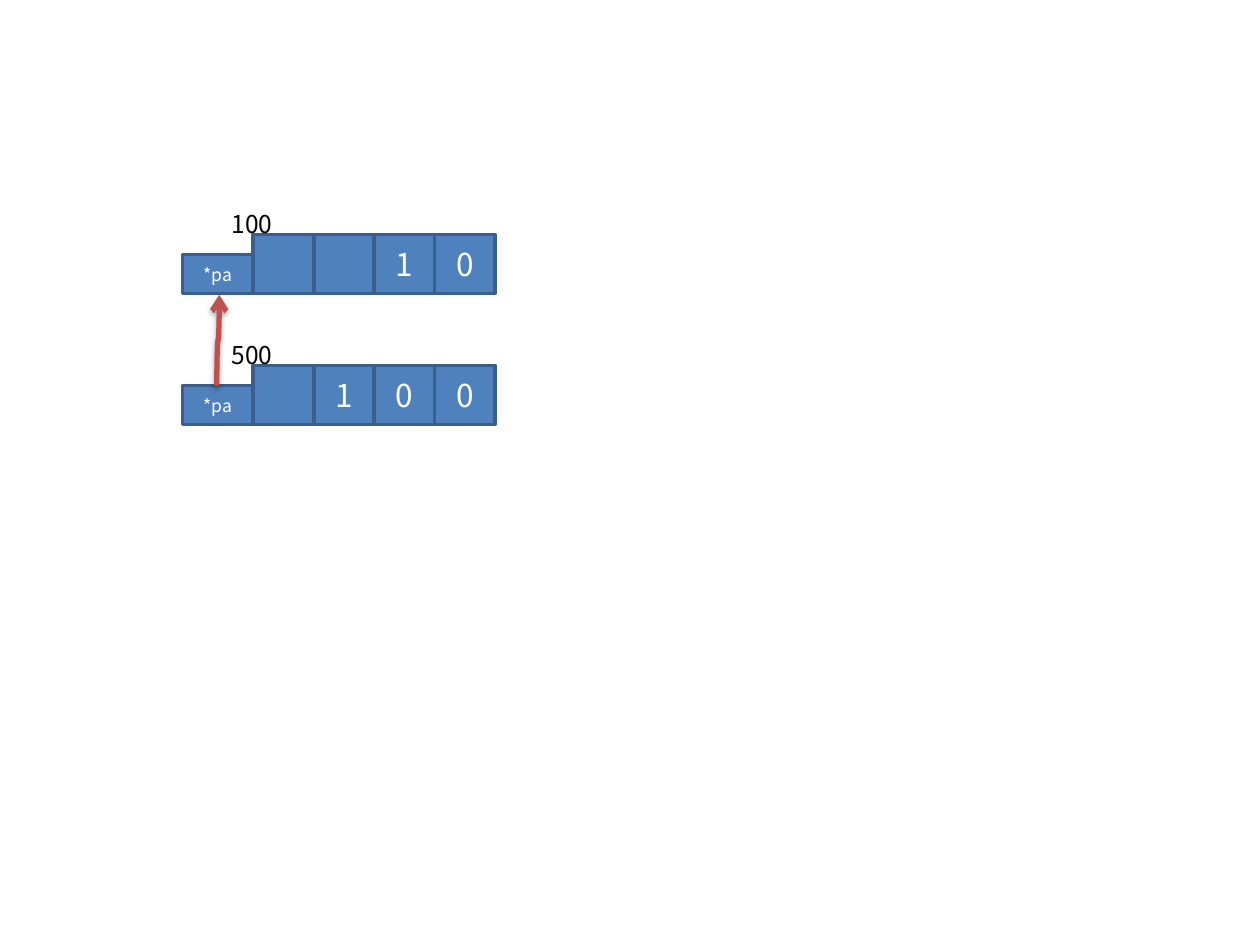
from lxml import etree
from pptx import Presentation
from pptx.dml.color import RGBColor
from pptx.enum import shapes, text
from pptx.oxml import parse_xml
from pptx.oxml.ns import nsdecls, qn
from pptx.util import Inches, Pt

FONT = "Noto Sans CJK KR"
COLORS = {
    "box": "4F81BD",
    "border": "3A5F8C",
    "box_text": "FFFFFF",
    "address": "000000",
    "arrow": "C0504D",
}
CELL_W, CELL_H = 0.48, 0.47
LABEL_W, LABEL_H = 0.56, 0.31
LEFT = 1.45
# Top of the cells, address, cell values
ROWS = [
    (2.90, "500", ["", "1", "0", "0"]),
    (1.86, "100", ["", "", "1", "0"]),
]


def color(name):
    return RGBColor.from_string(COLORS[name])


def add_run(p, content, size, color_name):
    r = p.add_run()
    r.text = content
    r.font.name = FONT
    r.font.size = Pt(size)
    r.font.color.rgb = color(color_name)
    r._r.get_or_add_rPr().append(
        parse_xml(f'<a:ea {nsdecls("a")} typeface="{FONT}"/>'))


def add_box(s, x, y, w, h, content, size):
    sp = s.shapes.add_shape(shapes.MSO_SHAPE.RECTANGLE,
                            Inches(x), Inches(y), Inches(w), Inches(h))
    sp.shadow.inherit = False
    sp.fill.solid()
    sp.fill.fore_color.rgb = color("box")
    sp.line.color.rgb = color("border")
    sp.line.width = Pt(2)
    if content:
        tf = sp.text_frame
        tf.vertical_anchor = text.MSO_ANCHOR.MIDDLE
        p = tf.paragraphs[0]
        p.alignment = text.PP_ALIGN.CENTER
        add_run(p, content, size, "box_text")


def add_address(s, x, y, content):
    sp = s.shapes.add_textbox(Inches(x), Inches(y), Inches(0.53), Inches(0.34))
    tf = sp.text_frame
    tf.word_wrap = False
    tf.auto_size = text.MSO_AUTO_SIZE.SHAPE_TO_FIT_TEXT
    add_run(tf.paragraphs[0], content, 14, "address")


def add_memory_row(s, top, address, values):
    # Pointer label sits on the same baseline as the cells
    add_box(s, LEFT, top + CELL_H - LABEL_H, LABEL_W, LABEL_H, "*pa", 10)
    for i, value in enumerate(values):
        add_box(s, LEFT + LABEL_W + i * CELL_W, top, CELL_W, CELL_H, value, 18)
    add_address(s, 1.74, top - 0.25, address)


def add_curved_arrow(s, x1, y1, x2, y2):
    # Lay the curve flat around its centre, then turn it a quarter
    cx, cy = (x1 + x2) / 2, (y1 + y2) / 2
    dx, dy = (y1 - y2) / 2, (x2 - x1) / 2
    c = s.shapes.add_connector(shapes.MSO_CONNECTOR.CURVE,
                               Inches(cx + dx), Inches(cy + dy),
                               Inches(cx - dx), Inches(cy - dy))
    c.line.color.rgb = color("arrow")
    c.line.width = Pt(3)
    spPr = c._element.spPr
    spPr.find(qn("a:xfrm")).set("rot", "5400000")
    etree.SubElement(c.line._get_or_add_ln(), qn("a:tailEnd"), type="arrow")
    spPr.append(parse_xml(
        f'<a:effectLst {nsdecls("a")}>'
        '<a:outerShdw blurRad="40000" dist="23000" dir="5400000" rotWithShape="0">'
        '<a:srgbClr val="000000"><a:alpha val="35000"/></a:srgbClr>'
        '</a:outerShdw></a:effectLst>'))


def main():
    prs = Presentation()
    prs.slide_width, prs.slide_height = Inches(10), Inches(7.5)
    s = prs.slides.add_slide(prs.slide_layouts[6])

    # Memory rows
    for top, address, values in ROWS:
        add_memory_row(s, top, address, values)

    # Pointer from the lower row to the upper one
    add_curved_arrow(s, 1.72, 3.06, 1.74, 2.34)

    prs.save("out.pptx")


if __name__ == "__main__":
    main()
